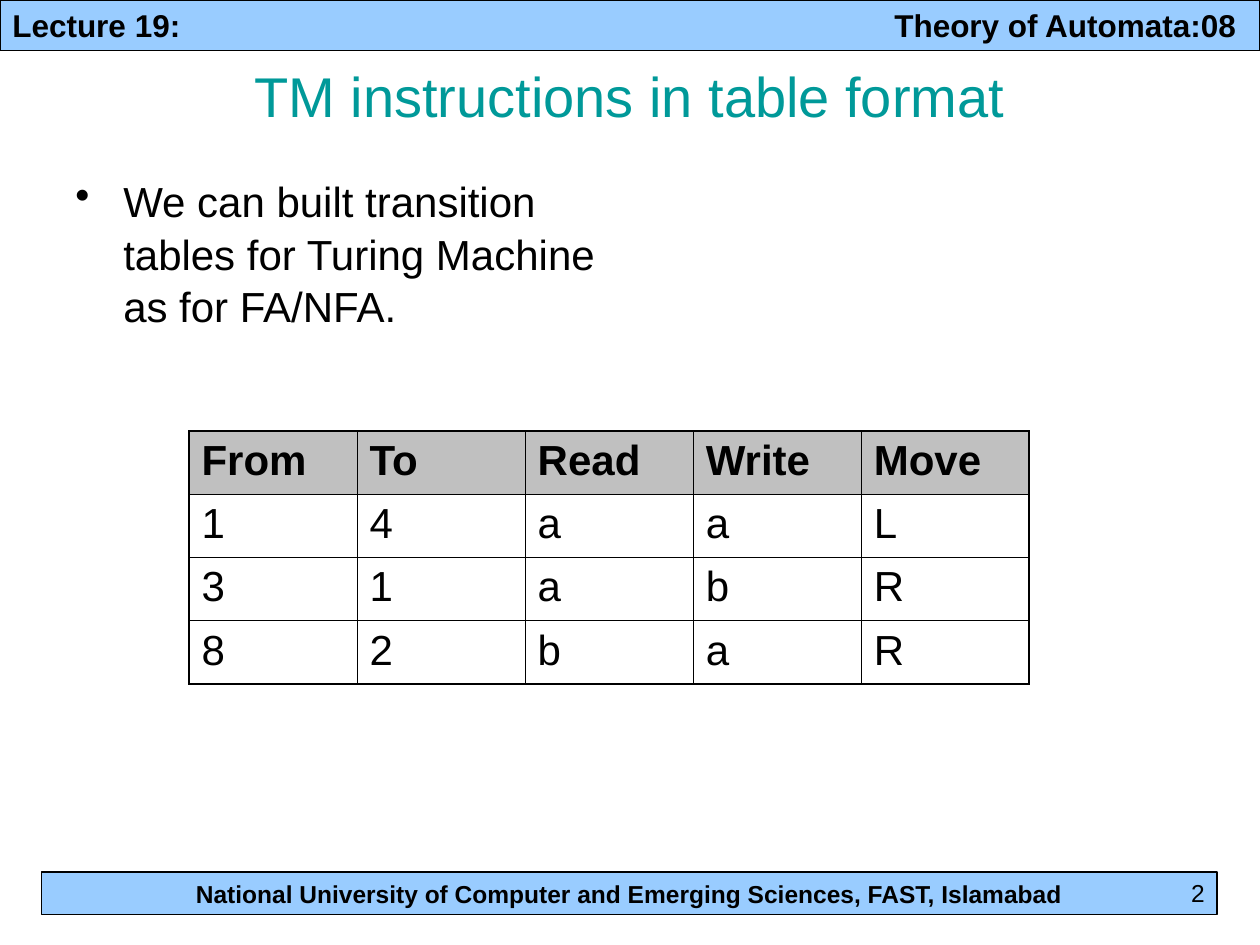
from lxml import etree
from pptx import Presentation
from pptx.dml.color import RGBColor
from pptx.enum import shapes, text
from pptx.oxml.ns import qn
from pptx.util import Inches, Pt

FONT = "Arial"
BLACK, TEAL, SKY, GREY = "000000", "009999", "99CCFF", "C0C0C0"
LEFT, CENTER, RIGHT = text.PP_ALIGN.LEFT, text.PP_ALIGN.CENTER, text.PP_ALIGN.RIGHT
TOP, MIDDLE = text.MSO_ANCHOR.TOP, text.MSO_ANCHOR.MIDDLE
INNER_LINE, OUTER_LINE = 0.45, 1.08
TRANSITIONS = [
    ("From", "To", "Read", "Write", "Move"),
    ("1", "4", "a", "a", "L"),
    ("3", "1", "a", "b", "R"),
    ("8", "2", "b", "a", "R"),
]


def color(hex_value):
    return RGBColor.from_string(hex_value)


def write(frame, content, size, hex_value=BLACK, bold=False, align=LEFT, anchor=TOP):
    frame.word_wrap = True
    frame.vertical_anchor = anchor
    paragraph = frame.paragraphs[0]
    paragraph.text = content
    paragraph.alignment = align
    font = paragraph.font
    font.name, font.size, font.bold = FONT, Pt(size), bold
    font.color.rgb = color(hex_value)
    return paragraph


def add_text(slide, box, content, size, **style):
    return write(slide.shapes.add_textbox(*box).text_frame, content, size, **style)


def add_bar(slide, box, content, size, align=LEFT):
    bar = slide.shapes.add_shape(shapes.MSO_SHAPE.RECTANGLE, *box)
    bar.shadow.inherit = False
    bar.fill.solid()
    bar.fill.fore_color.rgb = color(SKY)
    bar.line.color.rgb = color(BLACK)
    bar.line.width = Pt(0.75)
    return write(bar.text_frame, content, size, bold=True, align=align, anchor=MIDDLE)


def add_header(slide, box):
    paragraph = add_bar(slide, box, "Lecture 19:\tTheory of Automata:08", 18)
    properties = paragraph._p.get_or_add_pPr()
    tabs = etree.Element(qn("a:tabLst"))
    etree.SubElement(tabs, qn("a:tab"), pos=str(Inches(7)), algn="l")
    properties.insert(0, tabs)


def add_footer(slide, box):
    add_bar(slide, box, "National University of Computer and Emerging Sciences, FAST, Islamabad",
            14, CENTER)
    left, top, width, _ = box
    number_width = Inches(2.5)
    number_box = left + width - number_width, top, number_width, Inches(0.25)
    add_text(slide, number_box, "2", 14, align=RIGHT)


def add_bullet(slide, box, content):
    paragraph = add_text(slide, box, content, 24)
    paragraph.line_spacing = 1.04
    properties = paragraph._p.get_or_add_pPr()
    indent = Inches(0.38)
    properties.set("marL", str(indent))
    properties.set("indent", str(-indent))
    bullet = etree.Element(qn("a:buChar"), char="•")
    properties.find(qn("a:defRPr")).addprevious(bullet)


def set_borders(cell, widths):
    """Draw the left, right, top and bottom borders with the given point widths."""
    properties = cell._tc.get_or_add_tcPr()
    for position, (side, width) in enumerate(zip("LRTB", widths)):
        line = etree.Element(qn(f"a:ln{side}"), w=str(Pt(width)))
        fill = etree.SubElement(line, qn("a:solidFill"))
        etree.SubElement(fill, qn("a:srgbClr"), val=BLACK)
        properties.insert(position, line)


def add_transition_table(slide, box, rows):
    last_row, last_column = len(rows) - 1, len(rows[0]) - 1
    table = slide.shapes.add_table(len(rows), len(rows[0]), *box).table
    table.first_row = table.horz_banding = False
    for r, row in enumerate(rows):
        for c, value in enumerate(row):
            cell = table.cell(r, c)
            write(cell.text_frame, value, 24, bold=r == 0)
            if r == 0:
                cell.fill.solid()
                cell.fill.fore_color.rgb = color(GREY)
            else:
                cell.fill.background()
            edges = c == 0, c == last_column, r == 0, r == last_row
            set_borders(cell, [OUTER_LINE if edge else INNER_LINE for edge in edges])


def main():
    presentation = Presentation()
    presentation.slide_width, presentation.slide_height = Inches(10), Inches(7.5)
    slide = presentation.slides.add_slide(presentation.slide_layouts[6])
    add_header(slide, (0, 0, Inches(10), Inches(0.4)))
    add_footer(slide, (Inches(0.33), Inches(6.92), Inches(9.33), Inches(0.34)))
    add_text(slide, (Inches(0.5), Inches(0.42), Inches(9), Inches(0.67)),
             "TM instructions in table format", 32,
             hex_value=TEAL, align=CENTER, anchor=MIDDLE)
    add_bullet(slide, (Inches(0.5), Inches(1.33), Inches(4.42), Inches(5.33)),
               "We can built transition tables for Turing Machine as for FA/NFA.")
    add_transition_table(slide, (Inches(1.5), Inches(3.42), Inches(6.67), Inches(2.01)),
                         TRANSITIONS)
    presentation.save("out.pptx")


if __name__ == "__main__":
    main()
